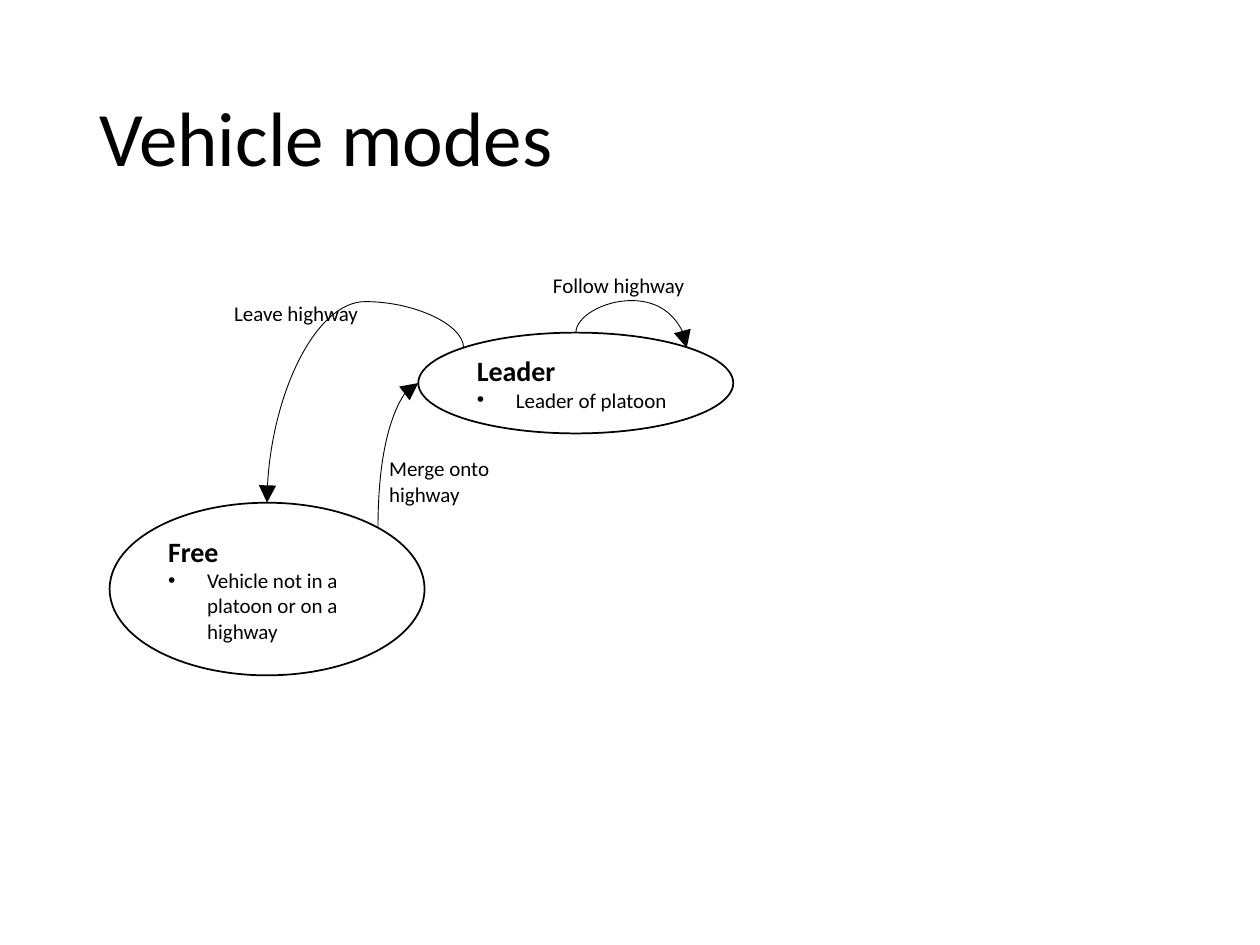
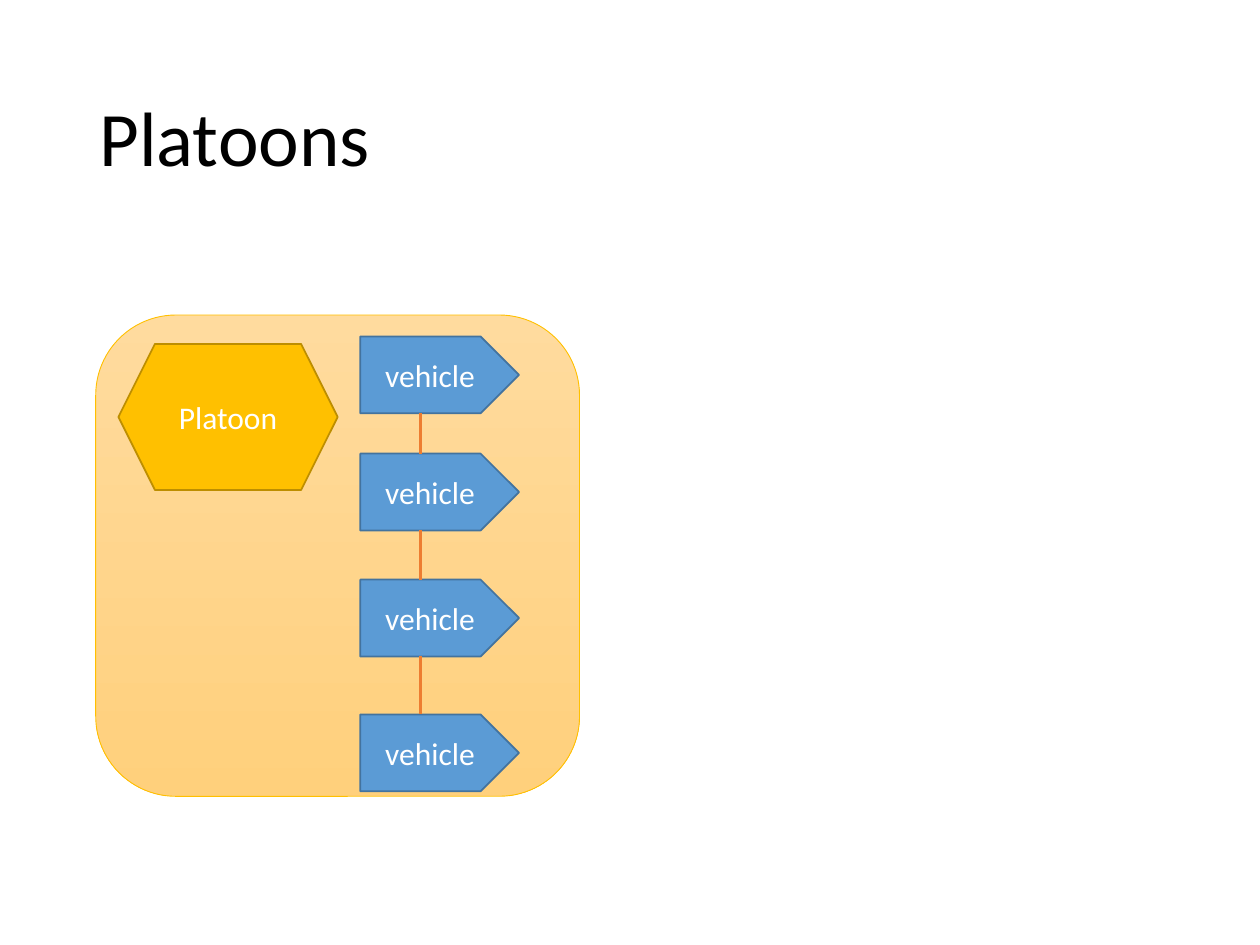
"""Builds two slides on vehicle modes and platoons."""
import itertools

import pptx
import pptx.dml.color
import pptx.enum.shapes
import pptx.enum.text
import pptx.oxml
import pptx.oxml.ns
import pptx.util

Inches, Pt = pptx.util.Inches, pptx.util.Pt
SHAPE = pptx.enum.shapes.MSO_SHAPE
CONNECTOR = pptx.enum.shapes.MSO_CONNECTOR
ANCHOR = pptx.enum.text.MSO_ANCHOR
ALIGN = pptx.enum.text.PP_ALIGN
qn = pptx.oxml.ns.qn

FONT = "Calibri"
COLORS = {
    "ink": "000000", "paper": "FFFFFF",
    "vehicle": "5B9BD5", "vehicle_edge": "43739E",
    "platoon": "FFC000", "platoon_edge": "BD8E00",
    "area_top": "FFDB9E", "area_bottom": "FFD07C",
    "link": "ED7D31",
}

TITLE_BOX = (0.69, 0.4, 8.62, 1.45)
MODES = [
    ("Free", "Vehicle not in a platoon or on a highway", (0.87, 3.99, 2.5, 1.37)),
    ("Leader", "Leader of platoon", (3.32, 2.64, 2.5, 0.8)),
]
TRANSITIONS = [
    ("Merge onto highway", (2.99, 3.57, 1.33, 0.5), True, (3, 4.19), (3.32, 3.04), None),
    ("Leave highway", (1.76, 2.34, 1.19, 0.3), False, (3.68, 2.76), (2.12, 3.99), -0.298),
    ("Follow highway", (4.29, 2.11, 1.72, 0.31), True, (4.57, 2.64), (5.45, 2.76), -2.122),
]

PLATOON_AREA = (0.76, 2.5, 3.84, 3.82)
PLATOON = ("Platoon", (0.94, 2.73, 1.74, 1.16))
VEHICLE = "vehicle"
VEHICLE_LEFT, VEHICLE_WIDTH, VEHICLE_HEIGHT = 2.86, 1.26, 0.61
VEHICLE_TOPS = [2.67, 3.6, 4.6, 5.67]


def rgb(name):
    return pptx.dml.color.RGBColor.from_string(COLORS[name])


def style(paragraph, size, color="ink", bold=False):
    font = paragraph.font
    for target in [font] + [run.font for run in paragraph.runs]:
        target.name, target.size, target.bold = FONT, Pt(size), bold
        target.color.rgb = rgb(color)


def add_text(slide, box, text, size, wrap=True):
    label = slide.shapes.add_textbox(*map(Inches, box))
    frame = label.text_frame
    frame.word_wrap = wrap
    frame.text = text
    style(frame.paragraphs[0], size)
    return frame


def add_titled_slide(deck, title):
    slide = deck.slides.add_slide(deck.slide_layouts[6])
    frame = add_text(slide, TITLE_BOX, title, 44)
    frame.vertical_anchor = ANCHOR.MIDDLE
    frame.paragraphs[0].line_spacing = 0.9
    return slide


def add_outlined(slide, kind, box, edge, fill=None, width=1):
    shape = slide.shapes.add_shape(kind, *map(Inches, box))
    shape.shadow.inherit = False
    shape.line.color.rgb = rgb(edge)
    shape.line.width = Pt(width)
    if fill:
        shape.fill.solid()
        shape.fill.fore_color.rgb = rgb(fill)
    return shape


def add_captioned(slide, kind, box, text, fill, edge):
    shape = add_outlined(slide, kind, box, edge, fill)
    frame = shape.text_frame
    frame.text = text
    frame.vertical_anchor = ANCHOR.MIDDLE
    frame.paragraphs[0].alignment = ALIGN.CENTER
    style(frame.paragraphs[0], 18, "paper")
    return shape


def add_mode(slide, name, meaning, box):
    frame = add_outlined(slide, SHAPE.OVAL, box, "ink", "paper").text_frame
    frame.vertical_anchor = ANCHOR.TOP
    frame.word_wrap = True
    frame.text = f"{name}\n{meaning}"
    heading, item = frame.paragraphs
    properties = item._p.get_or_add_pPr()
    properties.set("marL", str(Inches(0.31)))
    properties.set("indent", str(-Inches(0.31)))
    pptx.oxml.ns.qn
    bullet_font = properties.makeelement(qn("a:buFont"), {"typeface": "Arial"})
    bullet = properties.makeelement(qn("a:buChar"), {"char": "•"})
    properties.extend([bullet_font, bullet])
    heading.alignment = item.alignment = ALIGN.LEFT
    style(heading, 16, bold=True)
    style(item, 12)


def add_line(slide, kind, start, end, color, width):
    line = slide.shapes.add_connector(kind, *map(Inches, start + end))
    line.line.color.rgb = rgb(color)
    line.line.width = Pt(width)
    properties = line._element.spPr
    properties.append(properties.makeelement(qn("a:effectLst"), {}))
    return line


def add_upward_curve(slide, start, end, bend):
    """Draw a curved arrow that leaves its start upwards."""
    curve = add_line(slide, CONNECTOR.CURVE, start, end, "ink", 0.5)
    (x1, y1), (x2, y2) = start, end
    width, height = abs(y2 - y1), abs(x2 - x1)
    curve.left = Inches((x1 + x2 - width) / 2)
    curve.top = Inches((y1 + y2 - height) / 2)
    curve.width, curve.height = Inches(width), Inches(height)
    properties = curve._element.spPr
    frame = properties.find(qn("a:xfrm"))
    frame.set("rot", str(270 * 60000))
    frame.set("flipH", str(int(y2 > y1)))
    frame.set("flipV", str(int(x2 < x1)))
    geometry = properties.find(qn("a:prstGeom"))
    if bend is None:
        geometry.set("prst", "curvedConnector2")
    else:
        guide = {"name": "adj1", "fmla": f"val {round(bend * 100000)}"}
        adjustments = geometry.find(qn("a:avLst"))
        adjustments.append(adjustments.makeelement(qn("a:gd"), guide))
    arrow = {"type": "triangle", "w": "lg", "len": "lg"}
    outline = properties.find(qn("a:ln"))
    outline.append(outline.makeelement(qn("a:tailEnd"), arrow))


def build_modes(deck):
    slide = add_titled_slide(deck, "Vehicle modes")
    for mode in MODES:
        add_mode(slide, *mode)
    for action, box, wrap, start, end, bend in TRANSITIONS:
        add_upward_curve(slide, start, end, bend)
        add_text(slide, box, action, 12, wrap)


def build_platoons(deck):
    slide = add_titled_slide(deck, "Platoons")
    area = add_outlined(slide, SHAPE.ROUNDED_RECTANGLE, PLATOON_AREA, "platoon", width=0.5)
    area.fill.gradient()
    area.fill.gradient_angle = 270
    for stop, color in zip(area.fill.gradient_stops, ("area_top", "area_bottom")):
        stop.color.rgb = rgb(color)
    name, box = PLATOON
    add_captioned(slide, SHAPE.HEXAGON, box, name, "platoon", "platoon_edge")
    vehicles = [
        add_captioned(slide, SHAPE.PENTAGON, (VEHICLE_LEFT, top, VEHICLE_WIDTH, VEHICLE_HEIGHT),
                      VEHICLE, "vehicle", "vehicle_edge")
        for top in VEHICLE_TOPS
    ]
    link_x = VEHICLE_LEFT + (VEHICLE_WIDTH - VEHICLE_HEIGHT / 2) / 2
    for front, back in itertools.pairwise(vehicles):
        link = add_line(slide, CONNECTOR.STRAIGHT, (link_x, front.top.inches + VEHICLE_HEIGHT),
                        (link_x, back.top.inches), "link", 1.5)
        link.begin_connect(front, 2)
        link.end_connect(back, 0)
        link.begin_x = link.end_x = Inches(link_x)


def main():
    deck = pptx.Presentation()
    deck.slide_width, deck.slide_height = Inches(10), Inches(7.5)
    build_modes(deck)
    build_platoons(deck)
    deck.save("out.pptx")


if __name__ == "__main__":
    main()
